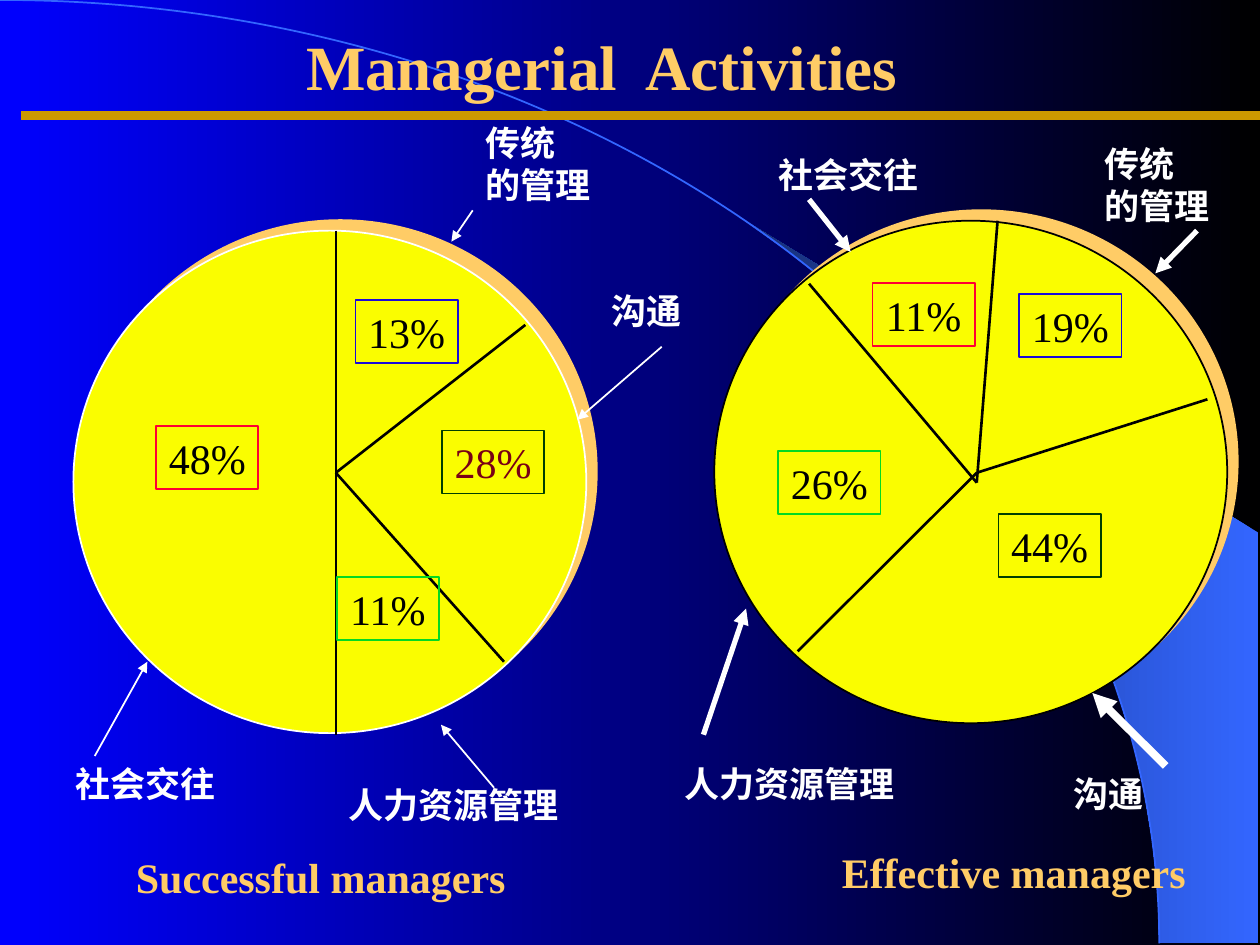
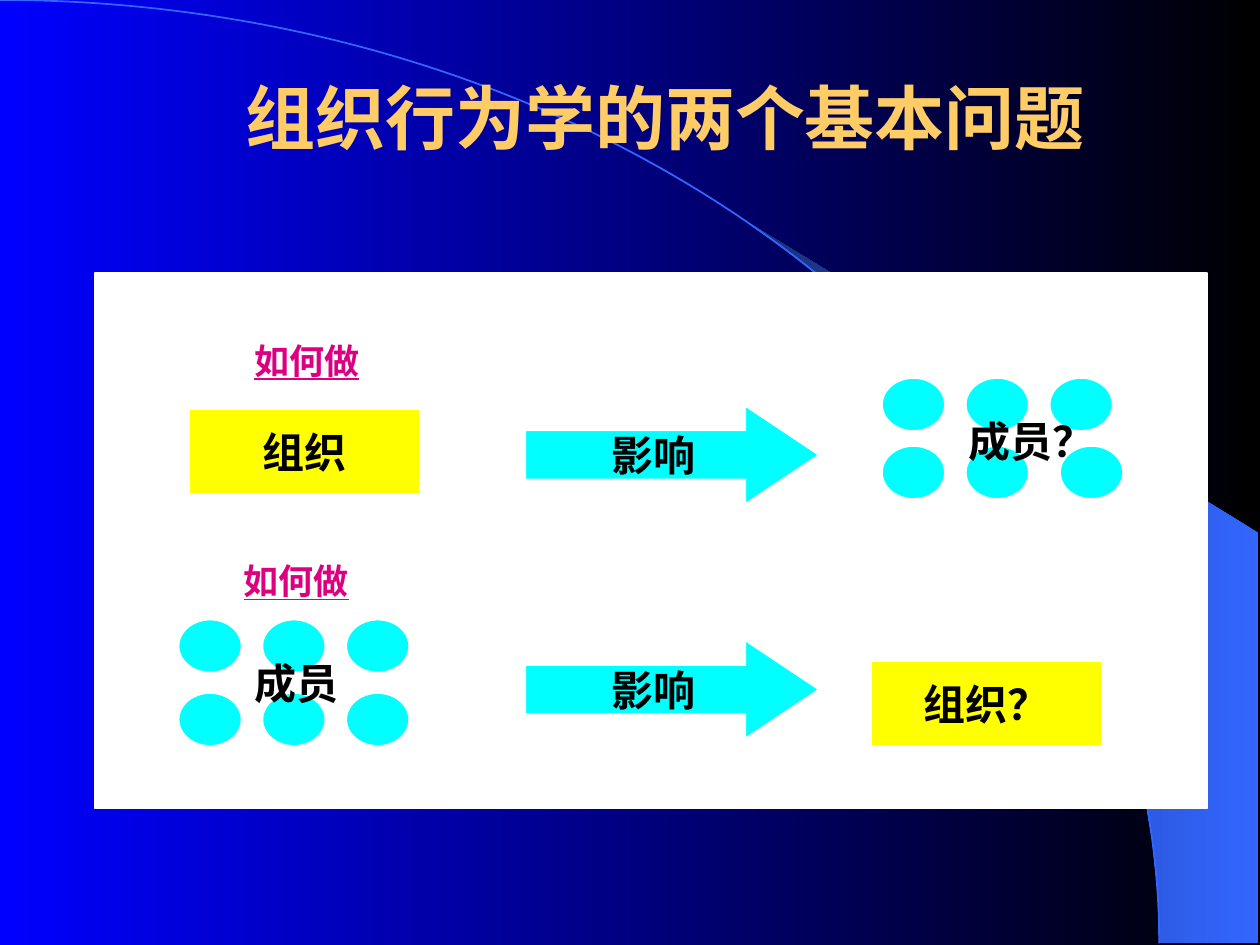
import math

import pptx
import pptx.dml.color
import pptx.enum.dml
import pptx.enum.shapes
import pptx.enum.text
import pptx.oxml
import pptx.oxml.ns
import pptx.util
from lxml import etree

Cm = pptx.util.Cm
Pt = pptx.util.Pt
RGB = pptx.dml.color.RGBColor
SHAPE = pptx.enum.shapes.MSO_SHAPE
qn = pptx.oxml.ns.qn

BLACK = RGB(0x00, 0x00, 0x00)
WHITE = RGB(0xFF, 0xFF, 0xFF)
BLUE = RGB(0x00, 0x00, 0xFF)
ARC_BLUE = RGB(0x33, 0x66, 0xFF)
ARC_NAVY = RGB(0x17, 0x2F, 0x75)
GOLD = RGB(0xFF, 0xCC, 0x66)
RULE_GOLD = RGB(0xCC, 0x99, 0x00)
DISC_YELLOW = RGB(0xFA, 0xFD, 0x00)
BOX_YELLOW = RGB(0xFF, 0xFF, 0x00)
CYAN = RGB(0x00, 0xFF, 0xFF)
MAGENTA = RGB(0xDC, 0x00, 0x81)
MAROON = RGB(0x79, 0x00, 0x15)
NETWORKING_RED = RGB(0xFF, 0x00, 0x33)
TRADITIONAL_BLUE = RGB(0x1B, 0x09, 0xD9)
COMMUNICATION_GREEN = RGB(0x00, 0x3E, 0x00)
STAFFING_GREEN = RGB(0x03, 0xD9, 0x22)

FONT = "Times New Roman"
SLIDE_W, SLIDE_H = 25.4, 19.05
ARC_RX, ARC_RY = 23.37, 19.02

TRADITIONAL = "传统\n的管理"
COMMUNICATION = "沟通"
STAFFING = "人力资源管理"
NETWORKING = "社会交往"


def set_gradient(fill, first, last):
    fill.gradient()
    fill.gradient_angle = 180
    for stop, color in zip(fill.gradient_stops, (first, last)):
        stop.color.rgb = color


def style_text(tf, text, size, color, bold=True, underline=None, align=None):
    tf.text = text
    for p in tf.paragraphs:
        p.alignment = align
        p.font.name = FONT
        p.font.size = Pt(size)
        p.font.bold = bold
        p.font.underline = underline
        p.font.color.rgb = color


def add_label(slide, text, x, y, size=20, color=WHITE, width=None, underline=None):
    lines = text.split("\n")
    w = Cm(width) if width else Pt(size) * max(map(len, lines)) + Cm(0.51)
    h = Pt(size * 1.2) * len(lines) + Cm(0.25)
    sp = slide.shapes.add_textbox(Cm(x), Cm(y), w, h)
    tf = sp.text_frame
    tf.word_wrap = False
    tf.auto_size = pptx.enum.text.MSO_AUTO_SIZE.SHAPE_TO_FIT_TEXT
    style_text(tf, text, size, color, underline=underline)
    return sp


def add_shape(slide, kind, x, y, w, h, fill=None, line=WHITE):
    sp = slide.shapes.add_shape(kind, Cm(x), Cm(y), Cm(w), Cm(h))
    sp.shadow.inherit = False
    if fill is None:
        sp.fill.background()
    else:
        sp.fill.solid()
        sp.fill.fore_color.rgb = fill
    sp.line.color.rgb = line
    sp.line.width = Pt(1)
    return sp


def add_caption(sp, text, color=BLACK, bold=True):
    tf = sp.text_frame
    tf.word_wrap = False
    tf.vertical_anchor = pptx.enum.text.MSO_ANCHOR.MIDDLE
    style_text(tf, text, 24, color, bold, align=pptx.enum.text.PP_ALIGN.CENTER)


def add_line(slide, start, end, color, width, arrow=False):
    kind = pptx.enum.shapes.MSO_CONNECTOR.STRAIGHT
    cx = slide.shapes.add_connector(kind, *map(Cm, start + end))
    cx.line.color.rgb = color
    cx.line.width = Pt(width)
    if arrow:
        etree.SubElement(cx.line._get_or_add_ln(), qn("a:tailEnd"), type="triangle")
    etree.SubElement(cx._element.spPr, qn("a:effectLst"))


def add_disc(slide, x, y, line):
    sp = add_shape(slide, SHAPE.OVAL, x, y, 10.34, 10.13, DISC_YELLOW, line)
    effects = sp._element.spPr.find(qn("a:effectLst"))
    shadow = etree.SubElement(effects, qn("a:outerShdw"), blurRad="0",
                              dist=str(Pt(8.5)), dir=str(315 * 60000),
                              algn="ctr", rotWithShape="0")
    etree.SubElement(shadow, qn("a:srgbClr"), val=str(GOLD))


def add_crowd(slide, x, y, row_gap, last_nudge=0):
    for row in range(2):
        for col in range(3):
            nudge = last_nudge if (row, col) == (1, 2) else 0
            add_shape(slide, SHAPE.OVAL, x + col * 1.69 + nudge, y + row * row_gap,
                      1.27, 1.07, CYAN)


def add_influence_arrow(slide, y):
    sp = add_shape(slide, SHAPE.RIGHT_ARROW, 10.59, y, 5.92, 1.98, CYAN)
    sp.adjustments[0] = 0.5
    sp.adjustments[1] = 0.75
    add_caption(sp, "影响")


def add_organisation(slide, text, x, y):
    sp = add_shape(slide, SHAPE.RECTANGLE, x, y, 4.65, 1.7, BOX_YELLOW)
    add_caption(sp, text)


def add_decor_slide(prs):
    slide = prs.slides.add_slide(prs.slide_layouts[6])
    angles = [math.radians(40 + 50 * i / 16) for i in range(17)]
    curve = [(round(100 * ARC_RX * math.sin(a)),
              round(100 * ARC_RY * (1 - math.cos(a)))) for a in angles]
    builder = slide.shapes.build_freeform(*curve[0], scale=Cm(0.01))
    builder.add_line_segments(curve[1:] + [(2537, 1902), (2537, 1074)])
    wedge = builder.convert_to_shape()
    wedge.shadow.inherit = False
    set_gradient(wedge.fill, ARC_BLUE, ARC_NAVY)
    wedge.line.fill.background()
    add_shape(slide, SHAPE.ARC, -ARC_RX, 0, 2 * ARC_RX, 2 * ARC_RY, line=ARC_BLUE)
    return slide


def add_managers(slide, disc, outline, spokes, shares, labels, arrows):
    add_disc(slide, *disc, outline)
    for start, end in spokes:
        add_line(slide, start, end, BLACK, 1.5)
    for text, x, y, line, color in shares:
        sp = add_shape(slide, SHAPE.RECTANGLE, x, y, 2.06, 1.27, line=line)
        add_caption(sp, text, color, bold=False)
    for text, x, y in labels:
        add_label(slide, text, x, y)
    for start, end, width in arrows:
        add_line(slide, start, end, WHITE, width, arrow=True)


def build_activities(prs):
    slide = add_decor_slide(prs)
    title = add_label(slide, "Managerial", 5.92, 0.43, 36, GOLD, width=12.5)
    p = title.text_frame.paragraphs[0]
    gap, last = p.add_run(), p.add_run()
    gap.text, last.text = " ", "Activities"
    gap.font._element.set("spc", "700")
    add_line(slide, (0.43, 2.33), (SLIDE_W, 2.33), RULE_GOLD, 5.25)

    hub = (6.77, 9.53)
    add_managers(
        slide, (1.48, 4.65), WHITE,
        spokes=[((6.77, 4.65), (6.77, 14.81)), (hub, (10.16, 13.34)),
                (hub, (10.59, 6.55))],
        shares=[("48%", 3.15, 8.59, NETWORKING_RED, BLACK),
                ("13%", 7.17, 6.05, TRADITIONAL_BLUE, BLACK),
                ("28%", 8.91, 8.68, COMMUNICATION_GREEN, MAROON),
                ("11%", 6.79, 11.64, STAFFING_GREEN, BLACK)],
        labels=[(NETWORKING, 1.27, 15.24), (TRADITIONAL, 9.53, 2.33),
                (COMMUNICATION, 12.07, 5.72), (STAFFING, 6.78, 15.67)],
        arrows=[((1.91, 15.24), (2.97, 13.34), 1), ((9.53, 4.24), (9.1, 4.87), 1),
                ((13.34, 6.99), (11.64, 8.46), 1), ((9.96, 15.88), (8.89, 14.61), 1)])
    add_label(slide, "Successful managers", 2.49, 17.04, 24, GOLD, width=8.2)

    upper_hub, lower_hub = (19.69, 9.53), (19.69, 9.73)
    add_managers(
        slide, (14.4, 4.45), BLACK,
        spokes=[(lower_hub, (16.31, 5.72)), (lower_hub, (20.11, 4.45)),
                (upper_hub, (16.08, 13.13)), (upper_hub, (24.34, 8.05))],
        shares=[("11%", 17.59, 5.71, NETWORKING_RED, BLACK),
                ("19%", 20.55, 5.93, TRADITIONAL_BLUE, BLACK),
                ("44%", 20.13, 10.37, COMMUNICATION_GREEN, BLACK),
                ("26%", 15.69, 9.1, STAFFING_GREEN, BLACK)],
        labels=[(NETWORKING, 15.44, 2.97), (TRADITIONAL, 22.02, 2.74),
                (COMMUNICATION, 21.39, 15.44), (STAFFING, 13.55, 15.24)],
        arrows=[((16.31, 4.02), (17.15, 5.08), 3), ((24.13, 4.65), (23.29, 5.51), 3),
                ((23.5, 15.44), (22.02, 13.97), 4.5),
                ((14.18, 14.81), (15.04, 12.27), 3)])
    add_label(slide, "Effective managers", 16.72, 16.94, 24, GOLD, width=7.6)


def build_questions(prs):
    slide = add_decor_slide(prs)
    add_label(slide, "组织行为学的两个基本问题", 4.7, 1.37, 40, GOLD)
    add_shape(slide, SHAPE.RECTANGLE, 1.91, 5.5, 22.43, 10.8, WHITE)

    add_label(slide, "如何做", 4.88, 6.71, color=MAGENTA, underline=True)
    add_organisation(slide, "组织", 3.81, 8.25)
    add_influence_arrow(slide, 8.18)
    add_crowd(slide, 17.78, 7.62, 1.37, last_nudge=0.21)
    add_label(slide, "成员？", 19.28, 8.26, 24, BLACK)

    add_label(slide, "如何做", 4.66, 11.15, color=MAGENTA, underline=True)
    add_crowd(slide, 3.6, 12.49, 1.48)
    add_label(slide, "成员", 4.88, 13.13, 24, BLACK)
    add_influence_arrow(slide, 12.91)
    add_organisation(slide, "组织？", 17.57, 13.33)


def main():
    prs = pptx.Presentation()
    prs.slide_width = Cm(SLIDE_W)
    prs.slide_height = Cm(SLIDE_H)
    set_gradient(prs.slide_master.background.fill, BLACK, BLUE)
    build_activities(prs)
    build_questions(prs)
    prs.save("out.pptx")


if __name__ == "__main__":
    main()
